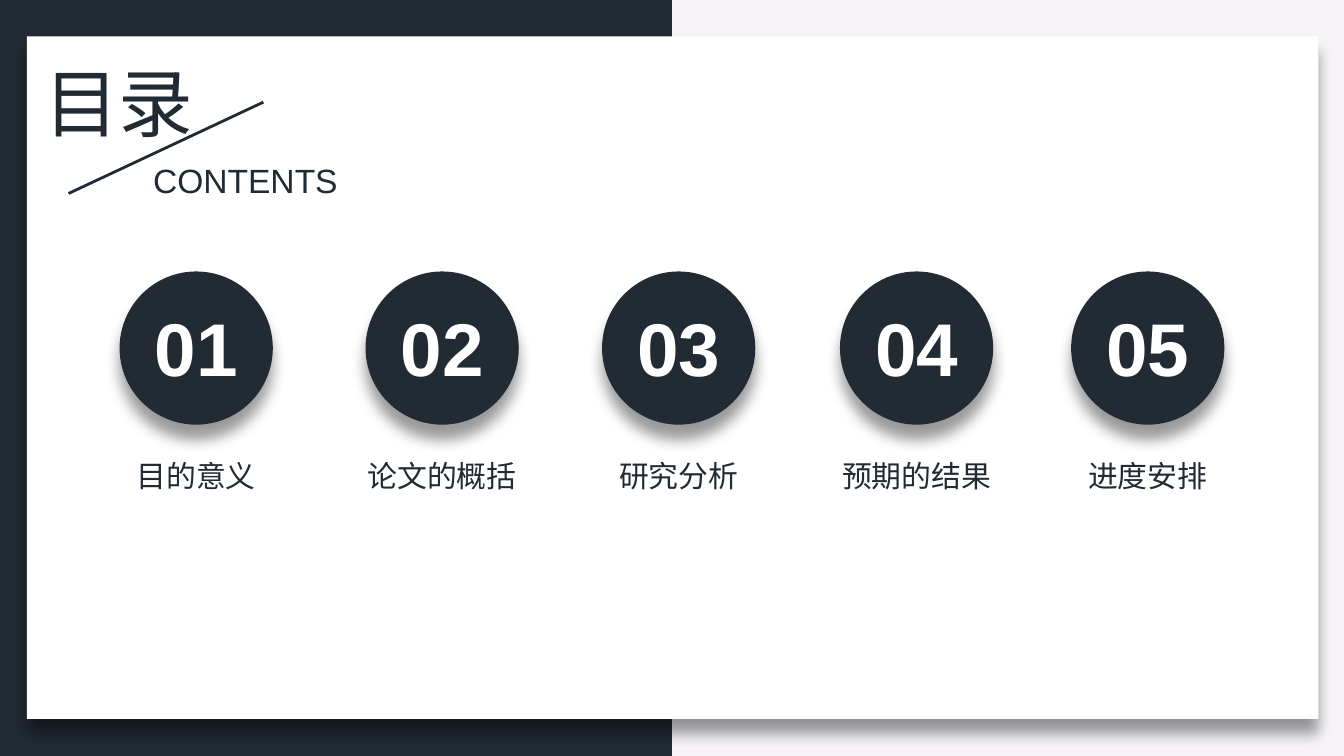
from dataclasses import dataclass

from lxml.etree import SubElement
from pptx import Presentation
from pptx.dml.color import RGBColor
from pptx.enum.shapes import MSO_CONNECTOR, MSO_SHAPE
from pptx.enum.text import MSO_ANCHOR, MSO_AUTO_SIZE, PP_ALIGN
from pptx.oxml import parse_xml
from pptx.oxml.ns import nsdecls, qn
from pptx.util import Inches, Pt


@dataclass(frozen=True)
class Theme:
    dark: RGBColor = RGBColor(0x22, 0x2B, 0x34)
    pale: RGBColor = RGBColor(0xF6, 0xF4, 0xF7)
    white: RGBColor = RGBColor(0xFF, 0xFF, 0xFF)
    title_font: str = "Calibri"
    latin_font: str = "Arial"
    label_font: str = "Noto Sans CJK SC"
    large: int = 40
    subtitle: int = 18
    label: int = 16


THEME = Theme()
SHADOW = (
    f'<a:effectLst {nsdecls("a")}><a:outerShdw blurRad="{Pt(8)}" dist="{Pt(8)}" '
    'dir="5400000" algn="t" rotWithShape="0"><a:srgbClr val="000000">'
    '<a:alpha val="40000"/></a:srgbClr></a:outerShdw></a:effectLst>'
)

# Label and circle centre of each chapter
CHAPTERS = [
    ("目的意义", 1.46),
    ("论文的概括", 3.29),
    ("研究分析", 5.05),
    ("预期的结果", 6.82),
    ("进度安排", 8.54),
]


def place(item, left, top, width, height):
    item.left, item.top = Inches(left), Inches(top)
    item.width, item.height = Inches(width), Inches(height)


def add_filled(page, kind, box, color, raised=False):
    shape = page.shapes.add_shape(kind, *map(Inches, box))
    shape.fill.solid()
    shape.fill.fore_color.rgb = color
    shape.line.fill.background()
    shape.shadow.inherit = False
    if raised:
        properties = shape._element.spPr
        properties.replace(properties.find(qn("a:effectLst")), parse_xml(SHADOW))


def write_text(item, text, font, size, color, align=PP_ALIGN.LEFT, bold=False):
    frame = item.text_frame
    frame.word_wrap = False
    frame.auto_size = MSO_AUTO_SIZE.SHAPE_TO_FIT_TEXT
    frame.vertical_anchor = MSO_ANCHOR.TOP
    para = frame.paragraphs[0]
    para.alignment = align
    span = para.add_run()
    span.text = text
    span.font.name = font
    span.font.size = Pt(size)
    span.font.bold = bold
    span.font.color.rgb = color
    # East Asian glyphs use the same font
    SubElement(span.font._element, qn("a:ea"), typeface=font)


def add_text(page, box, *args, **options):
    write_text(page.shapes.add_textbox(*map(Inches, box)), *args, **options)


def build_backdrop(page, width, height):
    page.background.fill.solid()
    page.background.fill.fore_color.rgb = THEME.pale
    add_filled(page, MSO_SHAPE.RECTANGLE, (0, 0, width / 2, height), THEME.dark)
    add_filled(page, MSO_SHAPE.RECTANGLE, (0.2, 0.27, 9.61, 5.08), THEME.white, raised=True)


def build_heading(page, left, top):
    title = page.shapes.title
    place(title, left, top, 1.32, 0.77)
    write_text(title, "目录", THEME.title_font, THEME.large, THEME.dark)
    # Bring the title in front of the backdrop
    title._element.getparent().append(title._element)

    slash = page.shapes.add_connector(
        MSO_CONNECTOR.STRAIGHT,
        Inches(left + 1.73), Inches(top + 0.39),
        Inches(left + 0.28), Inches(top + 1.07),
    )
    slash.line.color.rgb = THEME.dark
    slash.line.width = Pt(1.5)
    SubElement(slash._element.spPr, qn("a:effectLst"))

    add_text(page, (left + 0.81, top + 0.77, 1.59, 0.4), "CONTENTS",
             THEME.latin_font, THEME.subtitle, THEME.dark)


def build_chapter(page, number, label, center, top):
    diameter, number_width = 1.14, 0.83
    label_width = 0.22 * (len(label) + 1)
    add_filled(page, MSO_SHAPE.OVAL, (center - diameter / 2, top, diameter, diameter),
               THEME.dark, raised=True)
    add_text(page, (center - number_width / 2, top + 0.18, number_width, 0.77),
             f"{number:02}", THEME.latin_font, THEME.large, THEME.white,
             align=PP_ALIGN.CENTER, bold=True)
    add_text(page, (center - label_width / 2, top + 1.34, label_width, 0.37),
             label, THEME.label_font, THEME.label, THEME.dark, align=PP_ALIGN.CENTER)


def main():
    # Widescreen page, 16:9
    width = 10
    height = width * 9 / 16
    deck = Presentation()
    deck.slide_width, deck.slide_height = Inches(width), Inches(height)
    page = deck.slides.add_slide(deck.slide_layouts.get_by_name("Title Only"))

    build_backdrop(page, width, height)
    build_heading(page, 0.23, 0.37)
    for number, (label, center) in enumerate(CHAPTERS, start=1):
        build_chapter(page, number, label, center, 2.02)

    deck.save("out.pptx")


if __name__ == "__main__":
    main()
